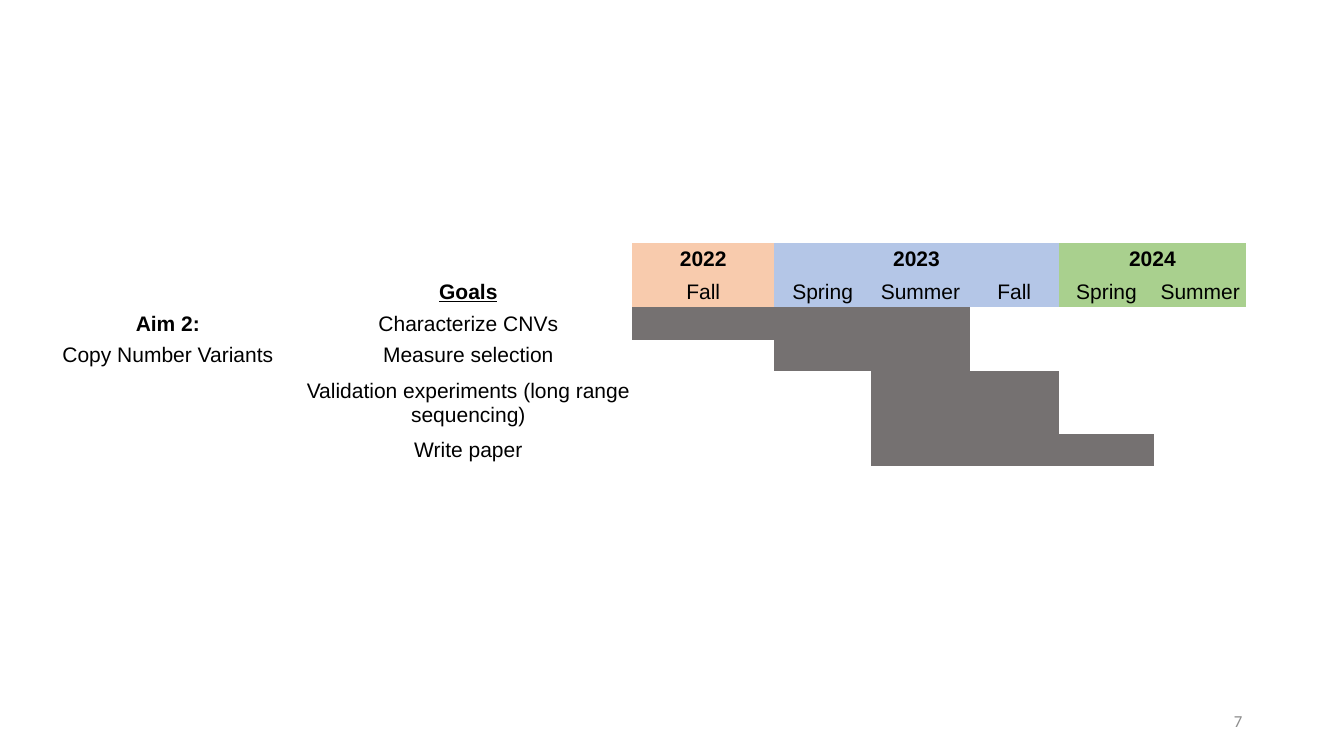
from lxml import etree
from pptx import Presentation
from pptx.dml.color import RGBColor
from pptx.enum.text import MSO_ANCHOR as Anchor, PP_ALIGN as Align
from pptx.oxml.ns import qn
from pptx.util import Inches, Pt

NO_STYLE = "{2D5ABB26-0587-4C30-8999-92F81FD0307C}"
BAR = "757171"
YEARS = [
    ("2022", "F8CBAD", ["Fall"]),
    ("2023", "B4C6E7", ["Spring", "Summer", "Fall"]),
    ("2024", "A9D08E", ["Spring", "Summer"]),
]
GOALS = [
    ("Characterize CNVs", 0, 3),
    ("Measure selection", 1, 2),
    ("Validation experiments (long range sequencing)", 2, 2),
    ("Write paper", 2, 3),
]
COLS = [2.71, 3.25, 1.41, 0.96, 0.98, 0.88, 0.95, 0.91]
ROWS = [0.32, 0.32, 0.32, 0.31, 0.63, 0.31]
FIRST_TERM, FIRST_GOAL = 2, 2


def rgb(color):
    return RGBColor.from_string(color)


class Deck:
    font, size, color = "Arial", 15, "000000"

    def __init__(self, slide):
        self.slide = slide

    def label(self, p, text, align=Align.CENTER, color=None, **fmt):
        p.alignment = align
        r = p.add_run()
        r.text = text
        fmt = {"name": self.font, "size": Pt(self.size), **fmt}
        for key, value in fmt.items():
            setattr(r.font, key, value)
        r.font.color.rgb = rgb(color or self.color)

    def text(self, box, text, **fmt):
        sp = self.slide.shapes.add_textbox(*map(Inches, box))
        tf = sp.text_frame
        tf.word_wrap = True
        tf.vertical_anchor = Anchor.MIDDLE
        self.label(tf.paragraphs[0], text, **fmt)

    def table(self, left, top, cols, rows):
        box = map(Inches, (left, top, sum(cols), sum(rows)))
        frame = self.slide.shapes.add_table(len(rows), len(cols), *box)
        table = frame.table
        table.first_row = table.horz_banding = False
        table._tbl.tblPr.find(qn("a:tableStyleId")).text = NO_STYLE
        for col, width in zip(table.columns, cols):
            col.width = Inches(width)
        for row, height in zip(table.rows, rows):
            row.height = Inches(height)
        for cell in table.iter_cells():
            cell.margin_left = cell.margin_right = cell.margin_top = Inches(0.01)
            cell.margin_bottom = 0
            cell.vertical_anchor = Anchor.MIDDLE
            end = etree.SubElement(cell.text_frame.paragraphs[0]._p, qn("a:endParaRPr"))
            end.set("sz", str(self.size * 100))
        return table

    def cell(self, cell, text="", fill=None, **fmt):
        if fill:
            cell.fill.solid()
            cell.fill.fore_color.rgb = rgb(fill)
        if text:
            self.label(cell.text_frame.paragraphs[0], text, **fmt)


prs = Presentation()
prs.slide_width, prs.slide_height = Inches(13.33), Inches(7.5)
deck = Deck(prs.slides.add_slide(prs.slide_layouts[6]))

plan = deck.table(0.31, 2.41, COLS, ROWS)
deck.cell(plan.cell(1, 1), "Goals", bold=True, underline=True)
deck.cell(plan.cell(2, 0), "Aim 2:", bold=True)
deck.cell(plan.cell(3, 0), "Copy Number Variants")

col = FIRST_TERM
for year, fill, terms in YEARS:
    last = col + len(terms) - 1
    if last > col:
        plan.cell(0, col).merge(plan.cell(0, last))
    deck.cell(plan.cell(0, col), year, fill, bold=True)
    for col, term in enumerate(terms, col):
        deck.cell(plan.cell(1, col), term, fill)
    col += 1

for row, (goal, start, length) in enumerate(GOALS, FIRST_GOAL):
    deck.cell(plan.cell(row, 1), goal)
    for term in range(start, start + length):
        deck.cell(plan.cell(row, FIRST_TERM + term), fill=BAR)

deck.text((9.42, 6.95, 3, 0.4), "7", align=Align.RIGHT, color="8C8C8C",
          name="Calibri", size=Pt(12))

prs.save("out.pptx")
